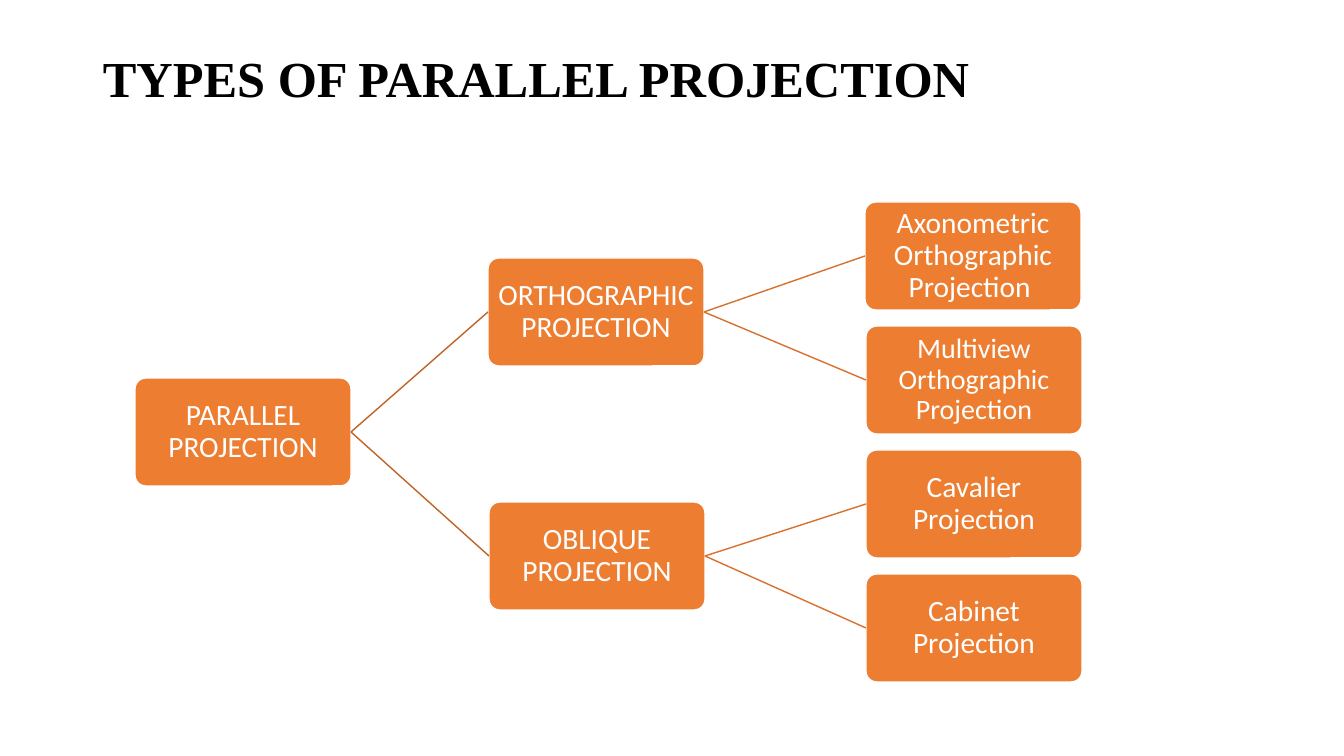
import pptx
import pptx.dml.color
import pptx.enum.shapes
import pptx.enum.text
import pptx.oxml.ns
import pptx.util
from lxml import etree

RGBColor = pptx.dml.color.RGBColor
BLACK = RGBColor(0x00, 0x00, 0x00)
WHITE = RGBColor(0xFF, 0xFF, 0xFF)
ORANGE = RGBColor(0xED, 0x7D, 0x31)
ROOT_LINE = RGBColor(0xBE, 0x64, 0x27)
BRANCH_LINE = RGBColor(0xD7, 0x71, 0x2C)

BOX_WIDTH, BOX_HEIGHT = 216, 108
TEXT_INSET = 4
LEFT_SITE, RIGHT_SITE = 1, 3

# name: (text, left, top, font size, parent)
LEAF_TOP, LEAF_STEP = 202, 124
NODES = {
    "parallel": ("PARALLEL PROJECTION", 135, 378, 21, None),
    "orthographic": ("ORTHOGRAPHIC PROJECTION", 488, 258, 21, "parallel"),
    "oblique": ("OBLIQUE PROJECTION", 489, 502, 21, "parallel"),
    "axonometric": ("Axonometric Orthographic Projection ", 865, LEAF_TOP, 21, "orthographic"),
    "multiview": ("Multiview Orthographic Projection", 866, LEAF_TOP + LEAF_STEP, 20, "orthographic"),
    "cavalier": ("Cavalier Projection", 866, LEAF_TOP + 2 * LEAF_STEP, 21, "oblique"),
    "cabinet": ("Cabinet Projection", 866, LEAF_TOP + 3 * LEAF_STEP, 21, "oblique"),
}


def px(length):
    """Turn slide pixels (100.8 to the inch) into EMU."""
    return pptx.util.Emu(round(length * 914400 / 100.8))


def write_text(frame, text, font, size, color, bold=False):
    frame.word_wrap = True
    frame.vertical_anchor = pptx.enum.text.MSO_ANCHOR.MIDDLE
    para = frame.paragraphs[0]
    para.line_spacing = 0.9
    span = para.add_run()
    span.text = text
    span.font.name = font
    span.font.size = pptx.util.Pt(size)
    span.font.bold = bold
    span.font.color.rgb = color
    return para


deck = pptx.Presentation()
deck.slide_width, deck.slide_height = px(1344), px(756)
page = deck.slides.add_slide(deck.slide_layouts[6])

title = page.shapes.add_textbox(px(93), px(40), px(1159), px(83))
write_text(title.text_frame, "TYPES OF PARALLEL PROJECTION", "Times New Roman", 36, BLACK, True)

boxes = {}
for name, (text, left, top, size, parent) in NODES.items():
    box = page.shapes.add_shape(
        pptx.enum.shapes.MSO_SHAPE.ROUNDED_RECTANGLE,
        px(left), px(top), px(BOX_WIDTH), px(BOX_HEIGHT))
    box.adjustments[0] = 0.1
    box.shadow.inherit = False
    box.fill.solid()
    box.fill.fore_color.rgb = ORANGE
    box.line.color.rgb = WHITE
    box.line.width = pptx.util.Pt(1)
    frame = box.text_frame
    frame.margin_left = frame.margin_right = px(TEXT_INSET)
    frame.margin_top = frame.margin_bottom = px(TEXT_INSET)
    para = write_text(frame, text, "Calibri", size, WHITE)
    para.alignment = pptx.enum.text.PP_ALIGN.CENTER
    boxes[name] = box

    if parent:
        link = page.shapes.add_connector(
            pptx.enum.shapes.MSO_CONNECTOR.STRAIGHT, 0, 0, 0, 0)
        link.begin_connect(boxes[parent], RIGHT_SITE)
        link.end_connect(box, LEFT_SITE)
        link.line.color.rgb = ROOT_LINE if parent == "parallel" else BRANCH_LINE
        link.line.width = pptx.util.Pt(1)
        etree.SubElement(link._element.spPr, pptx.oxml.ns.qn("a:effectLst"))

deck.save("out.pptx")
